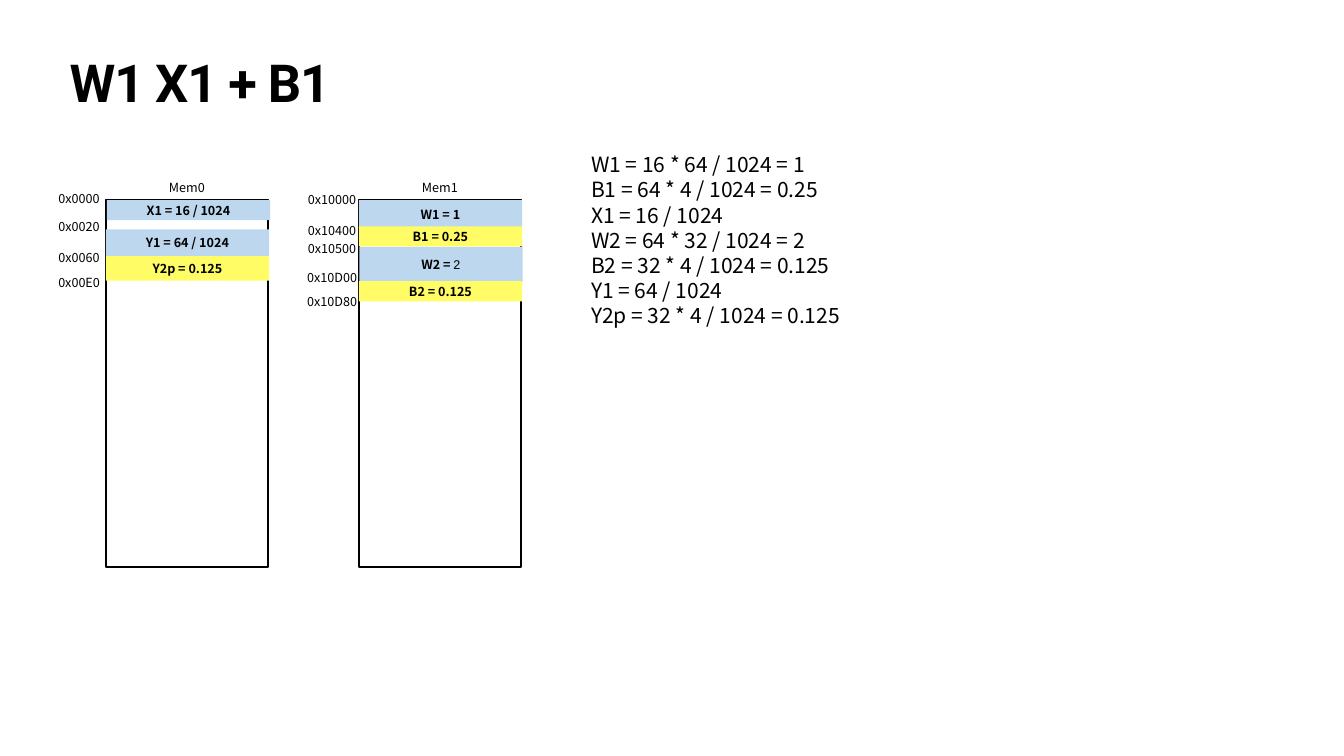
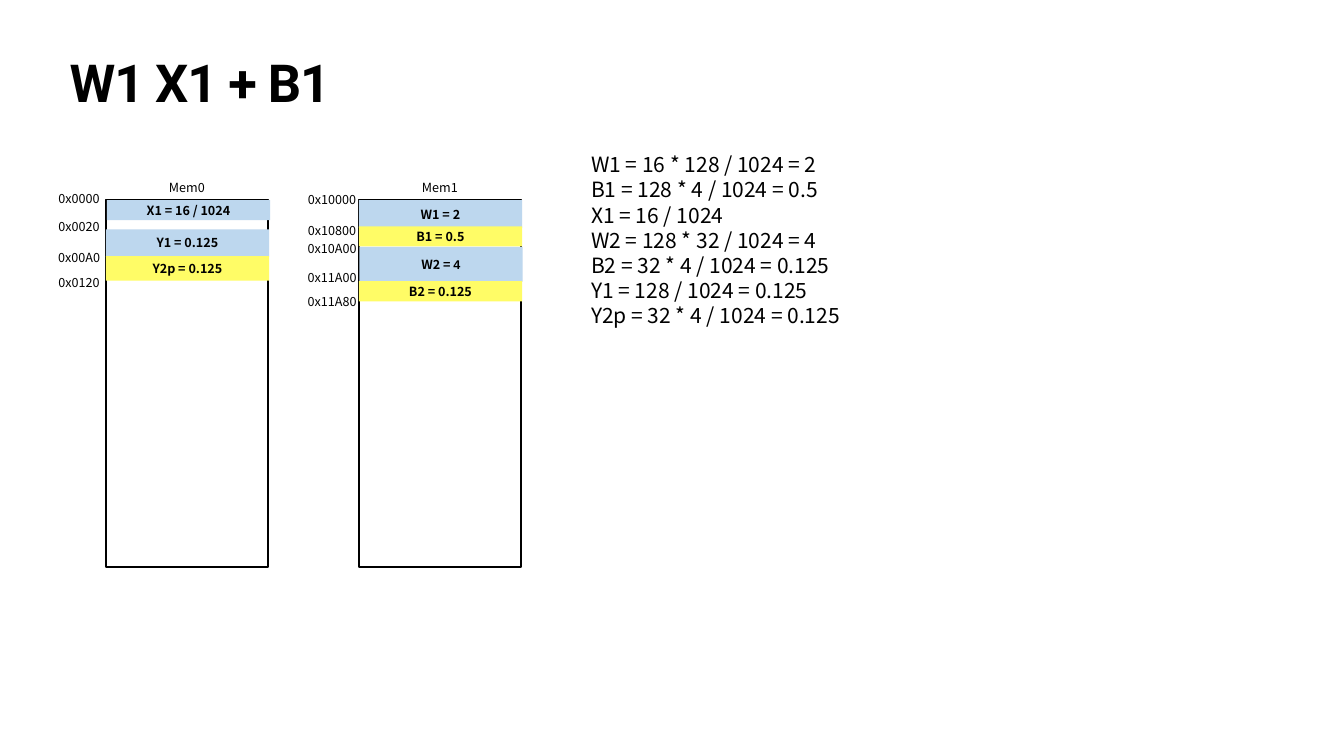
"""Build two slides that show the layout of Mem0 and Mem1 for W1 X1 + B1."""
from pptx import Presentation
from pptx.dml.color import RGBColor
from pptx.enum.shapes import MSO_SHAPE
from pptx.enum.text import MSO_ANCHOR, MSO_AUTO_SIZE, PP_ALIGN
from pptx.oxml.ns import qn
from pptx.util import Inches, Pt
from lxml import etree

BLACK = RGBColor(0x00, 0x00, 0x00)
BLUE = RGBColor(0xBD, 0xD7, 0xEE)
YELLOW = RGBColor(0xFF, 0xFC, 0x66)
SANS = "Noto Sans CJK SC"

TITLE = "W1 X1 + B1"
MEM_TOP, MEM_W, MEM_H = 3.96, 3.22, 7.29
BLOCK_W = 3.24
LABEL_W, LABEL_H = 1.1, 0.4

MEMS = [
    ("Mem0", 2.1, [3.74, 4.3, 4.91, 5.41],
     [(2.12, 3.97, 0.4, BLUE), (2.1, 4.55, 0.54, BLUE), (2.1, 5.08, 0.49, YELLOW)]),
    ("Mem1", 7.12, [3.75, 4.37, 4.73, 5.31, 5.79],
     [(7.12, 3.97, 0.55, BLUE), (7.12, 4.49, 0.4, YELLOW),
      (7.13, 4.9, 0.69, BLUE), (7.12, 5.58, 0.4, YELLOW)]),
]

SLIDES = [
    {
        "Mem0": (["0x0000", "0x0020", "0x0060", "0x00E0"],
                 ["X1 = 16 / 1024", "Y1 = 64 / 1024", "Y2p = 0.125"]),
        "Mem1": (["0x10000", "0x10400", "0x10500", "0x10D00", "0x10D80"],
                 ["W1 = 1", "B1 = 0.25", "W2 = 2", "B2 = 0.125"]),
        "w2_bold": False,
        "sizes": ["W1 = 16 * 64 / 1024 = 1", "B1 = 64 * 4 / 1024 = 0.25",
                  "X1 = 16 / 1024", "W2 = 64 * 32 / 1024 = 2",
                  "B2 = 32 * 4 / 1024 = 0.125", "Y1 = 64 / 1024",
                  "Y2p = 32 * 4 / 1024 = 0.125"],
    },
    {
        "Mem0": (["0x0000", "0x0020", "0x00A0", "0x0120"],
                 ["X1 = 16 / 1024", "Y1 = 0.125", "Y2p = 0.125"]),
        "Mem1": (["0x10000", "0x10800", "0x10A00", "0x11A00", "0x11A80"],
                 ["W1 = 2", "B1 = 0.5", "W2 = 4", "B2 = 0.125"]),
        "w2_bold": True,
        "sizes": ["W1 = 16 * 128 / 1024 = 2", "B1 = 128 * 4 / 1024 = 0.5",
                  "X1 = 16 / 1024", "W2 = 128 * 32 / 1024 = 4",
                  "B2 = 32 * 4 / 1024 = 0.125", "Y1 = 128 / 1024 = 0.125",
                  "Y2p = 32 * 4 / 1024 = 0.125"],
    },
]


def write(p, text, size=18, font=SANS, bold=False, align=PP_ALIGN.CENTER):
    """Add a formatted run to a paragraph and return it."""
    p.alignment = align
    r = p.add_run()
    r.text = text
    r.font.size = Pt(size)
    r.font.name = font
    r.font.bold = bold
    r.font.color.rgb = BLACK
    return r


def frame(sp, box=None, inset=0.05, anchor=MSO_ANCHOR.TOP, wrap=True):
    """Place a shape if a box is given, and return its prepared text frame."""
    if box:
        sp.left, sp.top, sp.width, sp.height = [Inches(v) for v in box]
    tf = sp.text_frame
    tf.auto_size = MSO_AUTO_SIZE.NONE
    tf.word_wrap = wrap
    tf.vertical_anchor = anchor
    tf.margin_left = tf.margin_right = tf.margin_top = tf.margin_bottom = Inches(inset)
    return tf


prs = Presentation()
prs.slide_width, prs.slide_height = Inches(26.67), Inches(15)

for data in SLIDES:
    s = prs.slides.add_slide(prs.slide_layouts[1])

    p = frame(s.shapes.title, (1.32, 1.18, 24.03, 1.57), inset=0.06).paragraphs[0]
    p.line_spacing = 0.8
    r = write(p, TITLE, size=74.8, font="Roboto", bold=True, align=PP_ALIGN.LEFT)
    r._r.get_or_add_rPr().set("spc", "-150")

    tf = frame(s.placeholders[1], (11.68, 2.96, 13.3, 4.64))
    for i, line in enumerate(data["sizes"]):
        p = tf.add_paragraph() if i else tf.paragraphs[0]
        pPr = p._p.get_or_add_pPr()
        pPr.set("marL", "0")
        pPr.set("indent", "0")
        etree.SubElement(pPr, qn("a:buNone"))
        p.space_before = Pt(0)
        write(p, line, size=30, align=PP_ALIGN.LEFT)

    for name, left, label_tops, blocks in MEMS:
        addresses, values = data[name]

        sp = s.shapes.add_shape(MSO_SHAPE.RECTANGLE, Inches(left), Inches(MEM_TOP),
                                Inches(MEM_W), Inches(MEM_H))
        sp.shadow.inherit = False
        sp.fill.background()
        sp.line.color.rgb = BLACK
        sp.line.width = Pt(2.25)

        labels = [(name, left + 1.06, 3.53)]
        labels += [(a, left - 1.08, top) for a, top in zip(addresses, label_tops)]
        for text, x, y in labels:
            sp = s.shapes.add_textbox(Inches(x), Inches(y), Inches(LABEL_W), Inches(LABEL_H))
            write(frame(sp, wrap=False).paragraphs[0], text)

        for text, (x, y, height, color) in zip(values, blocks):
            sp = s.shapes.add_shape(MSO_SHAPE.RECTANGLE, Inches(x), Inches(y),
                                    Inches(BLOCK_W), Inches(height))
            sp.shadow.inherit = False
            sp.fill.solid()
            sp.fill.fore_color.rgb = color
            sp.line.fill.background()
            p = frame(sp, anchor=MSO_ANCHOR.MIDDLE).paragraphs[0]
            if text.startswith("W2 = "):
                write(p, "W2 = ", bold=True)
                write(p, text.removeprefix("W2 = "), font="Arial", bold=data["w2_bold"])
            else:
                write(p, text, bold=True)

prs.save("out.pptx")
